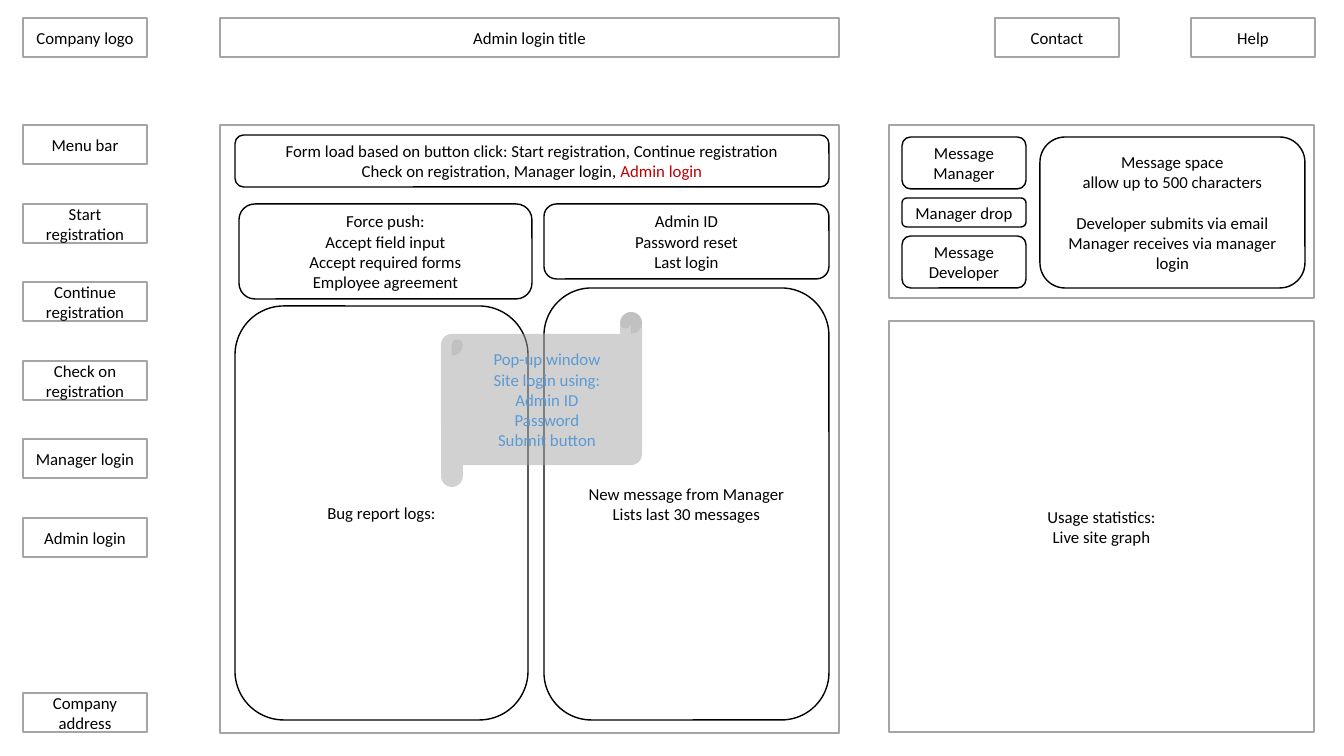
from dataclasses import dataclass

from lxml import etree
from pptx import Presentation
from pptx import util as u
from pptx.dml.color import RGBColor
from pptx.enum import shapes, text
from pptx.oxml import ns

EMU_PER_PIXEL = 914400 / 100.8


def px(pixels):
    return u.Emu(round(pixels * EMU_PER_PIXEL))


@dataclass(frozen=True)
class Theme:
    font: str = "Calibri"
    size: int = 12
    line_width: int = 1
    paper: str = "FFFFFF"
    ink: str = "000000"
    frame: str = "A5A5A5"
    alert: str = "C00000"
    popup: str = "5B9BD5"


class Wireframe:
    def __init__(self, slide, theme):
        self.slide = slide
        self.theme = theme

    def add(self, kind, box, content, fill, line=None, color=None):
        shape = self.slide.shapes.add_shape(kind, *map(px, box))
        shape.shadow.inherit = False
        shape.fill.solid()
        shape.fill.fore_color.rgb = RGBColor.from_string(fill)
        if line:
            shape.line.color.rgb = RGBColor.from_string(line)
            shape.line.width = u.Pt(self.theme.line_width)
        else:
            shape.line.fill.background()
        frame = shape.text_frame
        frame.word_wrap = True
        frame.vertical_anchor = text.MSO_ANCHOR.MIDDLE
        frame.text = content
        for paragraph in frame.paragraphs:
            paragraph.alignment = text.PP_ALIGN.CENTER
            for run in paragraph.runs:
                self.style(run, color or self.theme.ink)
        return shape

    def style(self, run, color):
        run.font.name = self.theme.font
        run.font.size = u.Pt(self.theme.size)
        run.font.color.rgb = RGBColor.from_string(color)

    def area(self, box, content=""):
        return self.add(shapes.MSO_SHAPE.RECTANGLE, box, content,
                        self.theme.paper, self.theme.frame)

    def card(self, box, content):
        return self.add(shapes.MSO_SHAPE.ROUNDED_RECTANGLE, box, content,
                        self.theme.paper, self.theme.ink)

    def scroll(self, box, content, opacity):
        shape = self.add(shapes.MSO_SHAPE.HORIZONTAL_SCROLL, box, content,
                         self.theme.frame, color=self.theme.popup)
        fill_color = shape.element.spPr.find(ns.qn("a:solidFill"))[0]
        alpha = etree.SubElement(fill_color, ns.qn("a:alpha"))
        alpha.set("val", str(opacity * 1000))
        return shape

    def highlight(self, paragraph, content):
        run = paragraph.add_run()
        run.text = content
        self.style(run, self.theme.alert)


presentation = Presentation()
presentation.slide_width, presentation.slide_height = px(1344), px(756)
slide = presentation.slides.add_slide(presentation.slide_layouts[6])
theme = Theme()
page = Wireframe(slide, theme)

BUTTON_WIDTH, BUTTON_HEIGHT = 124, 39
HEADER_TOP, BODY_TOP, MENU_STEP = 18, 125, 78.6
MENU_LEFT, MAIN_LEFT, MAIN_WIDTH, SIDE_LEFT, SIDE_WIDTH = 23, 220, 619, 889, 425

# Header, menu and footer
menu = ["Menu bar", "Start registration", "Continue registration",
        "Check on registration", "Manager login", "Admin login"]
buttons = [(MENU_LEFT, HEADER_TOP, "Company logo"), (995, HEADER_TOP, "Contact"),
           (1191, HEADER_TOP, "Help"), (MENU_LEFT, 693, "Company address")]
buttons += [(MENU_LEFT, round(BODY_TOP + index * MENU_STEP), label)
            for index, label in enumerate(menu)]
for left, top, label in buttons:
    page.area((left, top, BUTTON_WIDTH, BUTTON_HEIGHT), label)
page.area((MAIN_LEFT, HEADER_TOP, MAIN_WIDTH, BUTTON_HEIGHT), "Admin login title")

# Main form
page.area((MAIN_LEFT, BODY_TOP, MAIN_WIDTH, 608))
form = page.card(
    (235, 135, 594, 52),
    "Form load based on button click: Start registration, Continue registration\n"
    "Check on registration, Manager login, ")
page.highlight(form.text_frame.paragraphs[1], "Admin login")
page.card((239, 204, 293, 95), "Force push:\nAccept field input\n"
          "Accept required forms\nEmployee agreement")
page.card((544, 204, 285, 75), "Admin ID\nPassword reset\nLast login")
page.card((235, 306, 293, 414), "Bug report logs:")
page.card((544, 288, 285, 432), "New message from Manager\nLists last 30 messages")

# Login pop-up
page.scroll((441, 312, 201, 175), "Pop-up window\nSite login using:\nAdmin ID\n"
            "Password\nSubmit button", opacity=50)

# Messages and statistics
page.area((SIDE_LEFT, 321, SIDE_WIDTH, 411), "Usage statistics:\nLive site graph")
page.area((SIDE_LEFT, BODY_TOP, SIDE_WIDTH, 173))
for top, height, label in [(137, 52, "Message Manager"), (198, 29, "Manager drop"),
                           (236, 52, "Message Developer")]:
    page.card((902, top, BUTTON_WIDTH, height), label)
message = page.card((1040, 137, 265, 151),
                    "Message space\nallow up to 500 characters\n"
                    "Developer submits via email\nManager receives via manager login")
message.text_frame.paragraphs[2].space_before = u.Pt(14.5)

presentation.save("out.pptx")
